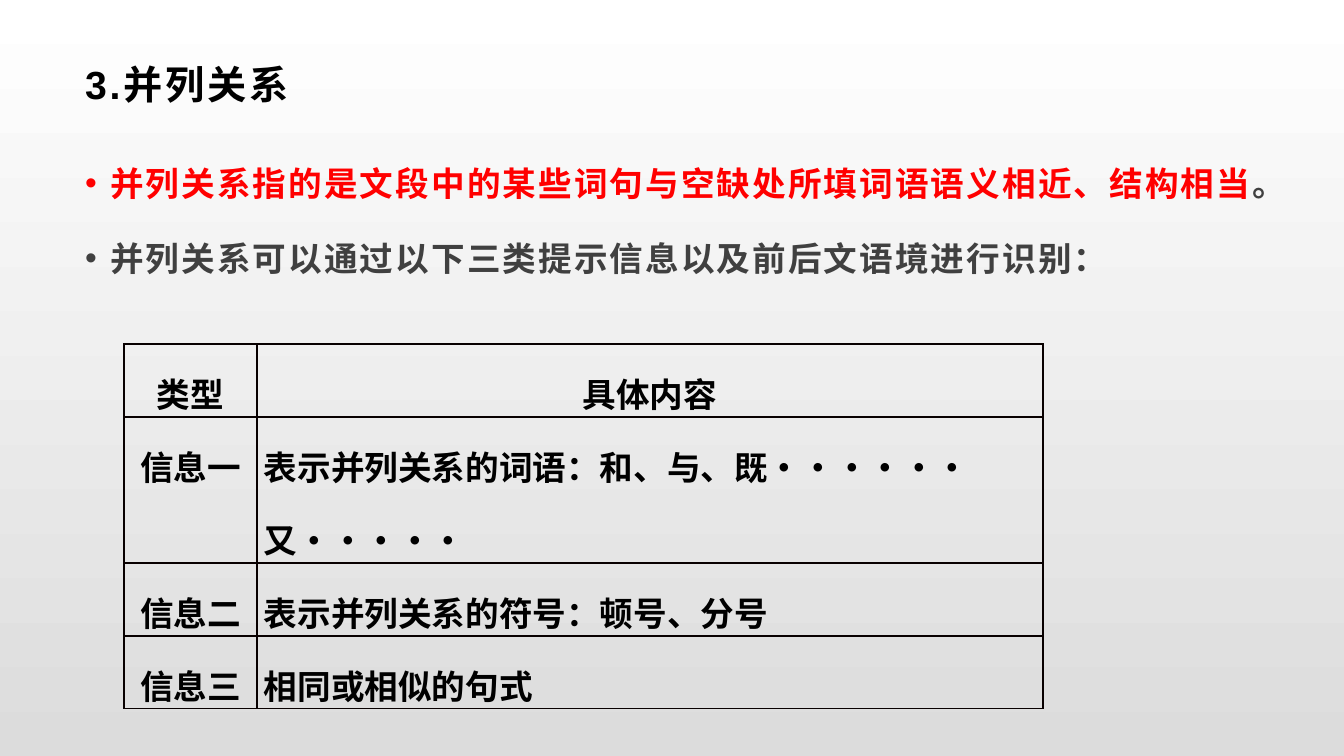
from dataclasses import dataclass

from lxml import etree
from pptx import Presentation
from pptx import util as u
from pptx.dml.color import RGBColor
from pptx.enum import text
from pptx.oxml import ns

PX = 914400 / 100.8


@dataclass(frozen=True)
class Theme:
    latin: str = "Arial"
    cjk: str = "Noto Sans CJK SC"
    black: str = "000000"
    red: str = "FF0000"
    grey: str = "404040"
    border: str = "080000"
    bg_top: str = "FFFFFF"
    bg_bottom: str = "DCDCDC"
    title: int = 28
    body: int = 24


def px(n):
    return u.Emu(round(n * PX))


def add_xml(parent, tag, **attrs):
    return etree.SubElement(parent, ns.qn(tag), attrs)


def add_run(p, content, size, color, latin, cjk, spacing=0):
    """Add a bold run; spacing is in points between characters."""
    r = p.add_run()
    r.text = content
    r.font.size = u.Pt(size)
    r.font.bold = True
    r.font.color.rgb = RGBColor.from_string(color)
    r.font.name = latin
    rPr = r.font._element
    add_xml(rPr, "a:ea", typeface=cjk)
    if spacing:
        rPr.set("spc", str(round(spacing * 100)))


class SlideBuilder:
    def __init__(self, prs, theme):
        self.theme = theme
        self.s = prs.slides.add_slide(prs.slide_layouts[6])

    def background(self):
        fill = self.s.background.fill
        fill.gradient()
        fill.gradient_angle = 270
        for stop, color in zip(fill.gradient_stops, (self.theme.bg_top, self.theme.bg_bottom)):
            stop.color.rgb = RGBColor.from_string(color)

    def text_box(self, box, insets, anchor):
        tf = self.s.shapes.add_textbox(*map(px, box)).text_frame
        tf.word_wrap = True
        tf.vertical_anchor = anchor
        tf.margin_left, tf.margin_top, tf.margin_right, tf.margin_bottom = map(px, insets)
        return tf

    def title(self, content, box):
        t = self.theme
        tf = self.text_box(box, (11, 4, 8, 4), text.MSO_ANCHOR.MIDDLE)
        add_run(tf.paragraphs[0], content, t.title, t.black, t.latin, t.cjk, spacing=2)

    def bullets(self, items, box):
        """Each item is a list of (content, color) runs."""
        t = self.theme
        tf = self.text_box(box, (11, 0, 9, 0), text.MSO_ANCHOR.TOP)
        for i, runs in enumerate(items):
            p = tf.add_paragraph() if i else tf.paragraphs[0]
            pPr = p._p.get_or_add_pPr()
            pPr.set("marL", str(u.Inches(0.25)))
            pPr.set("indent", str(-u.Inches(0.25)))
            add_xml(pPr, "a:buFont", typeface=t.latin)
            add_xml(pPr, "a:buChar", char="•")
            p.line_spacing = 1.5
            p.space_after = u.Pt(10)
            for content, color in runs:
                add_run(p, content, t.body, color, t.latin, t.cjk, spacing=1.5)

    def table(self, rows, left, top, col_widths, line_height):
        """Each row is (number of text lines, cell contents)."""
        heights = [lines * line_height for lines, _ in rows]
        table = self.s.shapes.add_table(
            len(rows), len(col_widths), px(left), px(top),
            px(sum(col_widths)), px(sum(heights))).table
        table.first_row = table.horz_banding = False
        for col, width in zip(table.columns, col_widths):
            col.width = px(width)
        for i, (_, contents) in enumerate(rows):
            table.rows[i].height = px(heights[i])
            for j, content in enumerate(contents):
                self.cell(table.cell(i, j), content, centred=i == 0 or j == 0)

    def cell(self, cell, content, centred):
        t = self.theme
        cell.margin_left = cell.margin_right = px(7)
        cell.margin_top = cell.margin_bottom = 0
        tcPr = cell._tc.get_or_add_tcPr()
        for side in ("a:lnL", "a:lnR", "a:lnT", "a:lnB"):
            ln = add_xml(tcPr, side, w=str(u.Pt(1)))
            add_xml(add_xml(ln, "a:solidFill"), "a:srgbClr", val=t.border)
        cell.fill.background()
        p = cell.text_frame.paragraphs[0]
        p.alignment = text.PP_ALIGN.CENTER if centred else text.PP_ALIGN.LEFT
        p.line_spacing = 1.5
        add_run(p, content, t.body, t.black, t.cjk, t.cjk)


def main():
    prs = Presentation()
    prs.slide_width, prs.slide_height = px(1344), px(756)
    theme = Theme()
    slide = SlideBuilder(prs, theme)
    slide.background()
    slide.title("3.并列关系", (74, 48, 1196, 72))
    slide.bullets([
        [("并列关系指的是文段中的某些词句与空缺处所填词语语义相近、结构相当", theme.red),
         ("。", theme.grey)],
        [("并列关系可以通过以下三类提示信息以及前后文语境进行识别：", theme.grey)],
    ], (74, 143, 1196, 555))
    slide.table([
        (1, ("类型", "具体内容")),
        (2, ("信息一", "表示并列关系的词语：和、与、既······又·····")),
        (1, ("信息二", "表示并列关系的符号：顿号、分号")),
        (1, ("信息三", "相同或相似的句式")),
    ], 124, 344, (133, 786), 73)
    prs.save("out.pptx")


if __name__ == "__main__":
    main()
